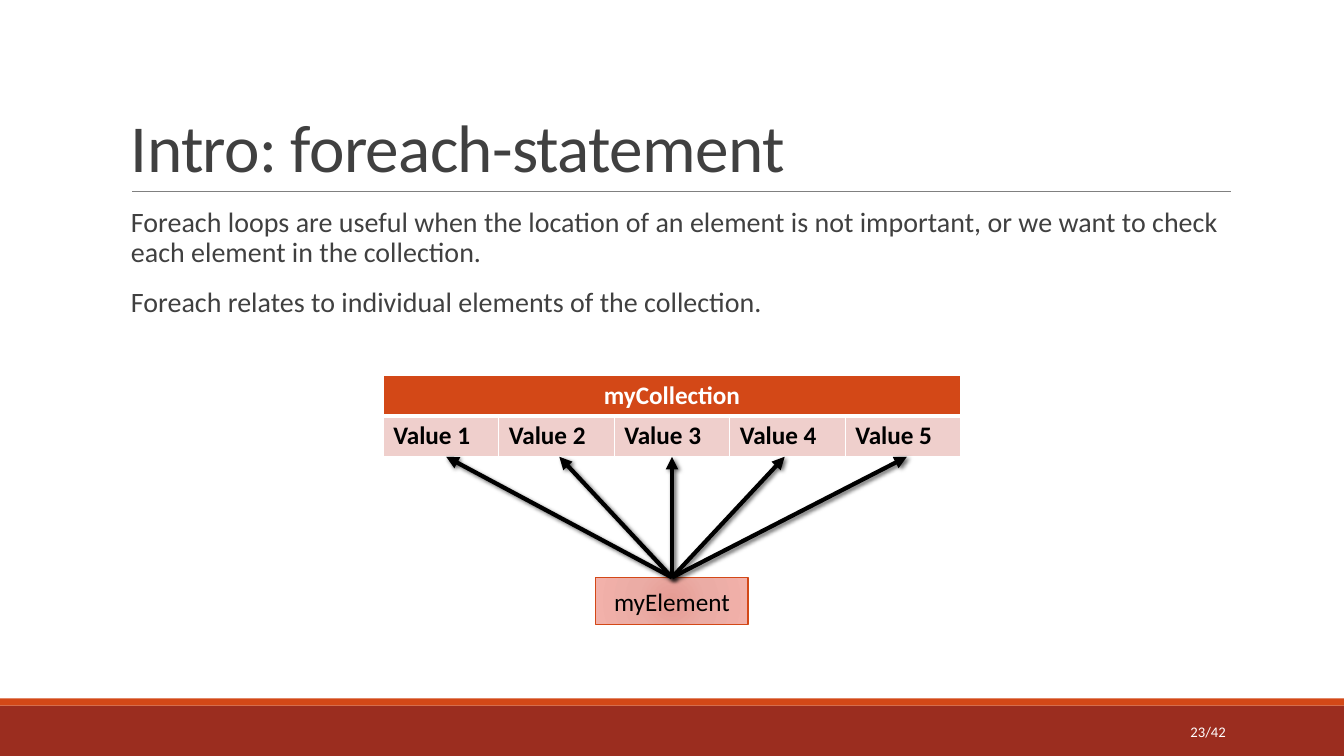
from lxml import etree
from pptx import Presentation
from pptx import util as u
from pptx.dml.color import RGBColor
from pptx.enum import shapes, text
from pptx.oxml import parse_xml
from pptx.oxml.ns import nsdecls, qn

INK = {"band": "9B2D1F", "main": "D34817", "rule": "808080", "text": "404040",
       "white": "FFFFFF", "black": "000000", "cell": "EFCFCC"}
GLOW = [(0, "E59B93"), (45, "EBACA5"), (100, "F2B1AA")]
PAGE = (33.87, 19.05)


def hue(name):
    """Return the named colour."""
    return RGBColor.from_string(INK[name])


def style(par, size, color, bold=False, align=text.PP_ALIGN.LEFT):
    """Format a paragraph and its runs."""
    par.alignment = align
    for run in par.runs:
        font = run.font
        font.name, font.size, font.bold = "Calibri", u.Pt(size), bold
        font.color.rgb = hue(color)


def label(slide, box, words, anchor=text.MSO_ANCHOR.TOP):
    """Add a wrapping text box and return its frame."""
    frame = slide.shapes.add_textbox(*map(u.Cm, box)).text_frame
    frame.word_wrap = True
    frame.vertical_anchor = anchor
    frame.text = words
    return frame


def rect(slide, box, color):
    """Add a plain filled rectangle."""
    shape = slide.shapes.add_shape(shapes.MSO_SHAPE.RECTANGLE, *map(u.Cm, box))
    shape.shadow.inherit = False
    shape.fill.solid()
    shape.fill.fore_color.rgb = hue(color)
    shape.line.fill.background()
    return shape


def line(slide, start, end, color, width):
    """Add a straight line without a shadow and return it."""
    link = slide.shapes.add_connector(
        shapes.MSO_CONNECTOR.STRAIGHT, *map(u.Cm, (*start, *end)))
    link.line.color.rgb = hue(color)
    link.line.width = u.Pt(width)
    etree.SubElement(link._element.spPr, qn("a:effectLst"))
    return link


def arrow(slide, start, end):
    """Add a thick arrow with a soft shadow."""
    link = line(slide, start, end, "black", 3)
    etree.SubElement(link.line._get_or_add_ln(), qn("a:tailEnd"), type="triangle")
    link._element.spPr.find(qn("a:effectLst")).append(parse_xml(
        f'<a:outerShdw {nsdecls("a")} blurRad="{u.Pt(3)}" dist="{u.Pt(2)}" '
        f'dir="2700000"><a:srgbClr val="{INK["black"]}">'
        '<a:alpha val="60000"/></a:srgbClr></a:outerShdw>'))


def head(slide, box, words):
    """Place the title with the rule beneath it."""
    x, y, w, h = box
    par = label(slide, box, words, text.MSO_ANCHOR.BOTTOM).paragraphs[0]
    par.line_spacing = 0.85
    style(par, 48, "text")
    par.runs[0]._r.get_or_add_rPr().set("spc", "-50")
    line(slide, (x + 0.28, y + h), (x + w + 0.02, y + h), "rule", 0.5)


def body(slide, box, words):
    """Place the body paragraphs."""
    frame = label(slide, box, "\n".join(words))
    frame.margin_left = frame.margin_right = 0
    for i, par in enumerate(frame.paragraphs):
        par._p.get_or_add_pPr().set("marL", str(u.Cm(0.25)))
        par.line_spacing = 0.9
        par.space_before = u.Pt(12 if i else 0)
        par.space_after = u.Pt(2)
        style(par, 20, "text")


def foot(slide, box, words):
    """Place the bottom bands and the page number."""
    x, y, w, h = box
    rect(slide, (x, y + 0.18, w, h - 0.18), "band")
    rect(slide, (x, y, w, 0.18), "main")
    spot = (x + 27.51, y + 0.33, 3.63, 1.02)
    frame = label(slide, spot, words, text.MSO_ANCHOR.MIDDLE)
    style(frame.paragraphs[0], 10.5, "white", align=text.PP_ALIGN.RIGHT)


def paint(cell, color, base):
    """Fill a cell and give it white borders."""
    props = cell._tc.get_or_add_tcPr()
    for side, width in zip("LRTB", (1, 1, 1, base)):
        props.append(parse_xml(
            f'<a:ln{side} {nsdecls("a")} w="{u.Pt(width)}"><a:solidFill>'
            f'<a:srgbClr val="{INK["white"]}"/></a:solidFill></a:ln{side}>'))
    cell.fill.solid()
    cell.fill.fore_color.rgb = hue(color)


def grid(slide, box, title, values):
    """Place the collection table."""
    table = slide.shapes.add_table(2, len(values), *map(u.Cm, box)).table
    table.first_row = table.horz_banding = False
    for i, value in enumerate(values):
        top, low = table.cell(0, i), table.cell(1, i)
        paint(top, "main", 3)
        paint(low, "cell", 1)
        low.text_frame.text = value
        style(low.text_frame.paragraphs[0], 18, "black", True)
    first = table.cell(0, 0)
    first.merge(table.cell(0, len(values) - 1))
    first.text_frame.text = title
    style(first.text_frame.paragraphs[0], 18, "white", True, text.PP_ALIGN.CENTER)


def node(slide, box, words):
    """Place the element box with its radial fill."""
    shape = rect(slide, box, "cell")
    stops = "".join(f'<a:gs pos="{pos * 1000}"><a:srgbClr val="{tone}"/></a:gs>'
                    for pos, tone in GLOW)
    props = shape._element.spPr
    props.replace(props.find(qn("a:solidFill")), parse_xml(
        f'<a:gradFill {nsdecls("a")}><a:gsLst>{stops}</a:gsLst><a:path path="circle">'
        '<a:fillToRect l="100000" t="100000" r="100000" b="100000"/>'
        '</a:path></a:gradFill>'))
    shape.line.color.rgb = hue("main")
    shape.line.width = u.Pt(1)
    frame = shape.text_frame
    frame.vertical_anchor = text.MSO_ANCHOR.MIDDLE
    frame.text = words
    style(frame.paragraphs[0], 18, "black", align=text.PP_ALIGN.CENTER)


def graph(slide, box):
    """Place the table, the element box and the arrows between them."""
    x, y, w, h = box
    mid, high, wide, tall = x + w / 2, 2.06, 3.84, 1.19
    base = y + h - tall
    grid(slide, (x, y, w, high), "myCollection", [f"Value {n}" for n in range(1, 6)])
    node(slide, (mid - wide / 2, base, wide, tall), "myElement")
    for shift in (-5.69, -2.84, 0, 2.84, 5.92):
        arrow(slide, (mid, base), (mid + shift, y + high))


def main():
    """Build and save the slide."""
    deck = Presentation()
    deck.slide_width, deck.slide_height = map(u.Cm, PAGE)
    slide = deck.slides.add_slide(deck.slide_layouts[6])
    foot(slide, (0, 17.6, PAGE[0], 1.45), "23/42")
    head(slide, (3.05, 0.79, 27.94, 4.04), "Intro: foreach-statement")
    body(slide, (3.05, 5.13, 27.94, 11.18), [
        "Foreach loops are useful when the location of an element is not important, "
        "or we want to check each element in the collection.",
        "Foreach relates to individual elements of the collection."])
    graph(slide, (9.66, 9.45, 14.55, 6.29))
    deck.save("out.pptx")


if __name__ == "__main__":
    main()
